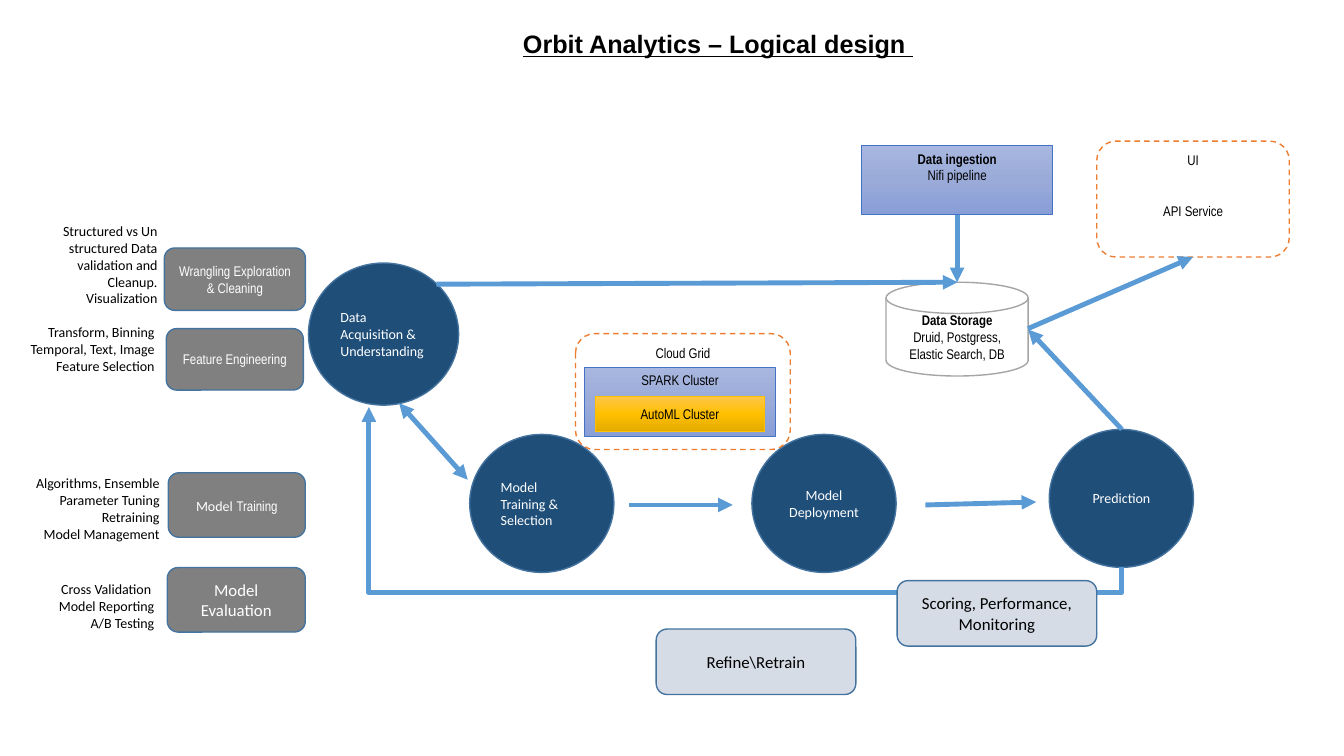
from copy import deepcopy

from lxml.etree import SubElement
from pptx import Presentation
from pptx.dml.color import RGBColor
from pptx.enum.dml import MSO_LINE
from pptx.enum.shapes import MSO_CONNECTOR, MSO_SHAPE
from pptx.enum.text import MSO_ANCHOR, PP_ALIGN
from pptx.oxml.ns import qn
from pptx.util import Pt

BLACK = RGBColor(0x00, 0x00, 0x00)
WHITE = RGBColor(0xFF, 0xFF, 0xFF)
GRAY = RGBColor(0x80, 0x80, 0x80)
SILVER = RGBColor(0xA5, 0xA5, 0xA5)
NAVY = RGBColor(0x1F, 0x4E, 0x79)
STEEL = RGBColor(0x43, 0x73, 0x9E)
SKY = RGBColor(0x5B, 0x9B, 0xD5)
PALE = RGBColor(0xD6, 0xDC, 0xE5)
ORANGE = RGBColor(0xED, 0x7D, 0x31)
BLUE = RGBColor(0x44, 0x72, 0xC4)
GOLD = RGBColor(0xFF, 0xC0, 0x00)
BLUES = (RGBColor(0xA8, 0xB7, 0xDF), RGBColor(0x9A, 0xAB, 0xD9), RGBColor(0x88, 0x9E, 0xD7))
GOLDS = (RGBColor(0xFF, 0xC6, 0x4B), GOLD, RGBColor(0xE3, 0xAB, 0x00))
SANS, SLIM = "Calibri", "Arial Narrow"
LEFT, MID, RIGHT = PP_ALIGN.LEFT, PP_ALIGN.CENTER, PP_ALIGN.RIGHT


def points(*values):
    """Turn plain numbers into point lengths."""
    return [Pt(value) for value in values]


def write(shape, text, face=SANS, size=10, color=BLACK, align=MID, anchor=MSO_ANCHOR.MIDDLE):
    """Put formatted text into a shape."""
    frame = shape.text_frame
    frame.word_wrap = True
    frame.vertical_anchor = anchor
    frame.text = text
    for para in frame.paragraphs:
        para.alignment = align
        for run in para.runs:
            run.font.name, run.font.size = face, Pt(size)
            run.font.color.rgb = color
    return frame


def draw(shapes, kind, box, fill, edge, width=1):
    """Add a preset shape with a plain or three-step fill."""
    shape = shapes.add_shape(kind, *points(*box))
    shape.shadow.inherit = False
    shape.line.color.rgb, shape.line.width = edge, Pt(width)
    if isinstance(fill, RGBColor):
        shape.fill.solid()
        shape.fill.fore_color.rgb = fill
        return shape
    shape.fill.gradient()
    shape.fill.gradient_angle = 270
    steps = shape._element.spPr.find(qn("a:gradFill")).find(qn("a:gsLst"))
    steps.insert(1, deepcopy(steps[0]))
    for stop, color, place in zip(shape.fill.gradient_stops, fill, (0, 0.5, 1)):
        stop.color.rgb, stop.position = color, place
    return shape


def tip(line, both=False):
    """Style a line as a blue arrow."""
    line.line.color.rgb, line.line.width = SKY, Pt(3.5)
    edge = line._element.spPr.find(qn("a:ln"))
    for end in ("a:headEnd", "a:tailEnd") if both else ("a:tailEnd",):
        SubElement(edge, qn(end)).set("type", "triangle")


def arrow(shapes, *ends, both=False):
    """Add a straight arrow between two points."""
    line = shapes.add_connector(MSO_CONNECTOR.STRAIGHT, *points(*ends))
    tip(line, both)
    SubElement(line._element.spPr, qn("a:effectLst"))
    return line


def title(shapes, box):
    """Write the heading."""
    frame = write(shapes.add_textbox(*points(*box)), "Orbit Analytics – Logical design ",
                  "Arial", 18, align=LEFT, anchor=MSO_ANCHOR.TOP)
    frame.word_wrap = False
    font = frame.paragraphs[0].runs[0].font
    font.bold = font.underline = True


def tasks(shapes, box):
    """Draw the gray task boxes and the notes beside them."""
    x, y = box
    rows = (
        ("Wrangling Exploration & Cleaning", SLIM, 10, (106.6, 21.6, 100.8, 44.6),
         "Structured vs Un structured Data validation and Cleanup.\nVisualization",
         (6.5, 0, 102.2, 67.7)),
        ("Feature Engineering", SLIM, 10, (108, 79.2, 97.9, 43.9),
         "Transform, Binning\nTemporal, Text, Image\nFeature Selection", (0, 72, 106.6, 43.9)),
        ("Model", SANS, 10, (109.4, 182.2, 97.9, 46.1),
         "Algorithms, Ensemble\nParameter Tuning\nRetraining\nModel Management",
         (5.8, 180, 104.4, 59)),
        ("Model Evaluation", SANS, 12, (108.7, 249.9, 98.6, 46.1),
         "Cross Validation \nModel Reporting\nA/B Testing", (7.9, 255.6, 98.6, 43.9)),
    )
    for name, face, size, (dx, dy, w, h), note, (nx, ny, nw, nh) in rows:
        task = draw(shapes, MSO_SHAPE.ROUNDED_RECTANGLE, (x + dx, y + dy, w, h), GRAY, STEEL)
        frame = write(task, name, face, size, WHITE)
        if name == "Model":
            for text, font, height in ((" ", SANS, 12), ("Training", SLIM, 10)):
                run = frame.paragraphs[0].add_run()
                run.text = text
                run.font.name, run.font.size = font, Pt(height)
                run.font.color.rgb = WHITE
        label = shapes.add_textbox(*points(x + nx, y + ny, nw, nh))
        write(label, note, align=RIGHT, anchor=MSO_ANCHOR.TOP)


def cycle(shapes, box):
    """Draw the model stages, their arrows and the feedback loop."""
    x, y = box
    stages = (
        ("Data Acquisition & Understanding", (0, 0, 107.3, 101.5), LEFT),
        ("Model Training & Selection", (115.2, 122.4, 103, 98.6), LEFT),
        ("Model Deployment", (316.8, 122.4, 103, 98.6), MID),
        ("Prediction", (529.2, 118.8, 103, 98.6), MID),
    )
    for name, (dx, dy, w, h), align in stages:
        stage = draw(shapes, MSO_SHAPE.FLOWCHART_CONNECTOR, (x + dx, y + dy, w, h), NAVY, STEEL)
        write(stage, name, color=WHITE, align=align)
    path = [(x + dx, y + dy) for dx, dy in ((581, 217.4), (581, 235.5), (43.2, 235.5), (43.2, 103))]
    build = shapes.build_freeform(*points(*path[0]))
    build.add_line_segments([points(*spot) for spot in path[1:]], close=False)
    loop = build.convert_to_shape()
    loop.fill.background()
    loop.shadow.inherit = False
    tip(loop)
    for name, dx, dy in (("Scoring, Performance, Monitoring", 420.5, 226.8),
                         ("Refine\\Retrain", 248.4, 261.4)):
        step = draw(shapes, MSO_SHAPE.ROUNDED_RECTANGLE, (x + dx, y + dy, 142.6, 46.8), PALE, STEEL)
        write(step, name, size=12)
    arrow(shapes, x + 64.8, y + 100.1, x + 113.8, y + 154.8, both=True)
    arrow(shapes, x + 229, y + 172.8, x + 303.1, y + 172.8)
    arrow(shapes, x + 440.7, y + 172.8, x + 519.9, y + 170.7)


def zone(shapes, box, text):
    """Draw a dashed zone with its caption at the top."""
    shape = draw(shapes, MSO_SHAPE.ROUNDED_RECTANGLE, box, WHITE, ORANGE)
    shape.line.dash_style = MSO_LINE.DASH
    write(shape, text, SLIM, anchor=MSO_ANCHOR.TOP)
    return shape


def cluster(shapes, box):
    """Draw the nested compute clusters."""
    x, y, w, h = box
    zone(shapes, box, "Cloud Grid")
    spark = draw(shapes, MSO_SHAPE.RECTANGLE, (x + 6.5, y + 23.8, 136.1, 49.7), BLUES, BLUE, 0.5)
    write(spark, "SPARK Cluster", SLIM, anchor=MSO_ANCHOR.TOP)
    learn = draw(shapes, MSO_SHAPE.RECTANGLE, (x + 14.4, y + 44.7, 120.2, 25.2), GOLDS, GOLD, 0.5)
    write(learn, "AutoML Cluster", SLIM)


def store(shapes, box):
    """Draw ingestion, storage and interface with the arrows between them."""
    x, y = box
    disk = draw(shapes, MSO_SHAPE.FLOWCHART_MAGNETIC_DISK,
                (x + 17.3, y + 100.8, 101.5, 67), WHITE, SILVER)
    lines = write(disk, "Data Storage\nDruid, Postgress, Elastic Search, DB", SLIM)
    lines.paragraphs[0].runs[0].font.bold = True
    arrow(shapes, x + 185.7, y + 205.9, x + 118.8, y + 134.6)
    arrow(shapes, x - 303.8, y + 102.2, x + 68.4, y + 100.8)
    feed = draw(shapes, MSO_SHAPE.RECTANGLE, (x, y + 2.9, 136.1, 49.7), BLUES, BLUE, 0.5)
    lines = write(feed, "Data ingestion\nNifi pipeline", SLIM, anchor=MSO_ANCHOR.TOP)
    lines.paragraphs[0].runs[0].font.bold = True
    down = arrow(shapes, x + 68.05, y + 52.6, x + 68.05, y + 100.8)
    down.begin_connect(feed, 2)
    front = zone(shapes, (x + 167.8, y, 137.5, 82.8), "UI\nAPI Service")
    front.text_frame.paragraphs[1].space_before = Pt(24)
    rise = arrow(shapes, x + 118.8, y + 133.9, x + 236.55, y + 82.8)
    rise.end_connect(front, 2)


def main():
    """Build and save the slide."""
    deck = Presentation()
    deck.slide_width, deck.slide_height = points(960, 540)
    shapes = deck.slides.add_slide(deck.slide_layouts[6]).shapes
    title(shapes, (366.5, 16.6, 296, 28.8))
    tasks(shapes, (10.8, 155.5))
    cycle(shapes, (220.3, 187.9))
    cluster(shapes, (411.1, 238.3, 153.4, 82.8))
    store(shapes, (615.6, 100.8))
    deck.save("out.pptx")


if __name__ == "__main__":
    main()
